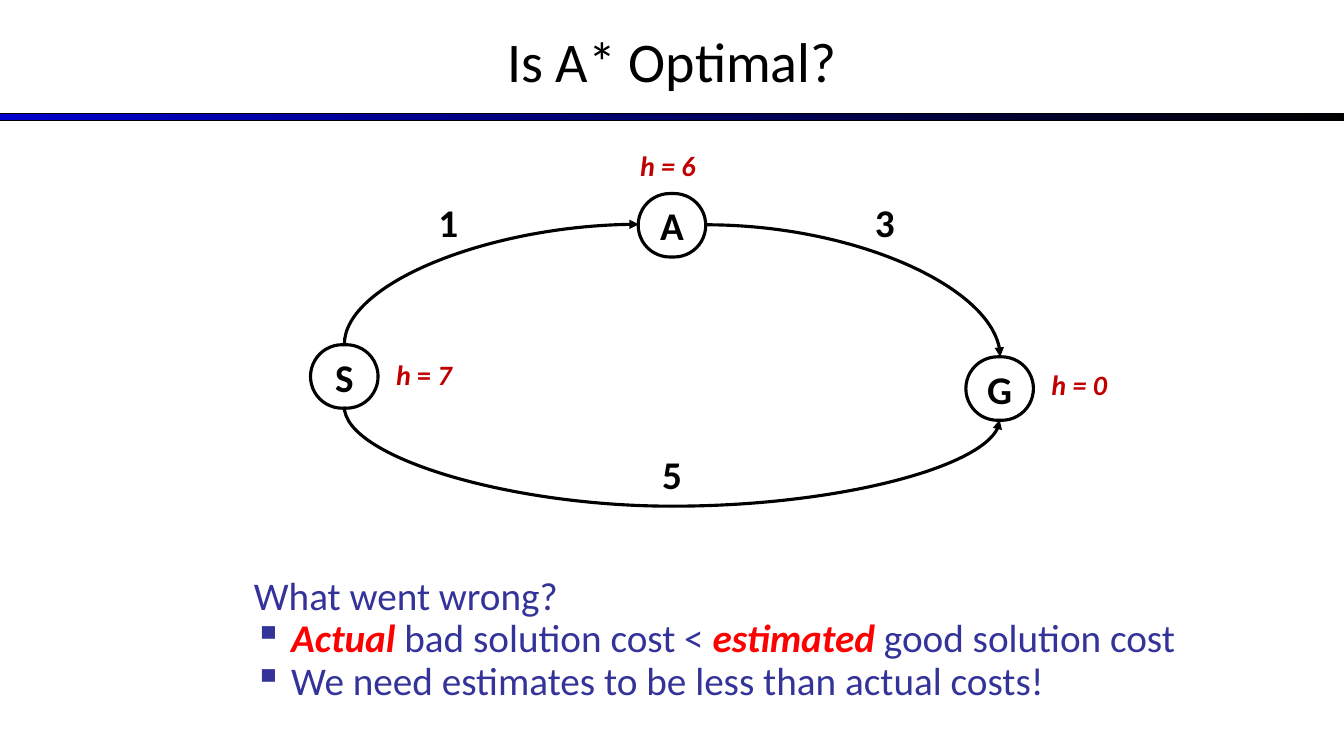
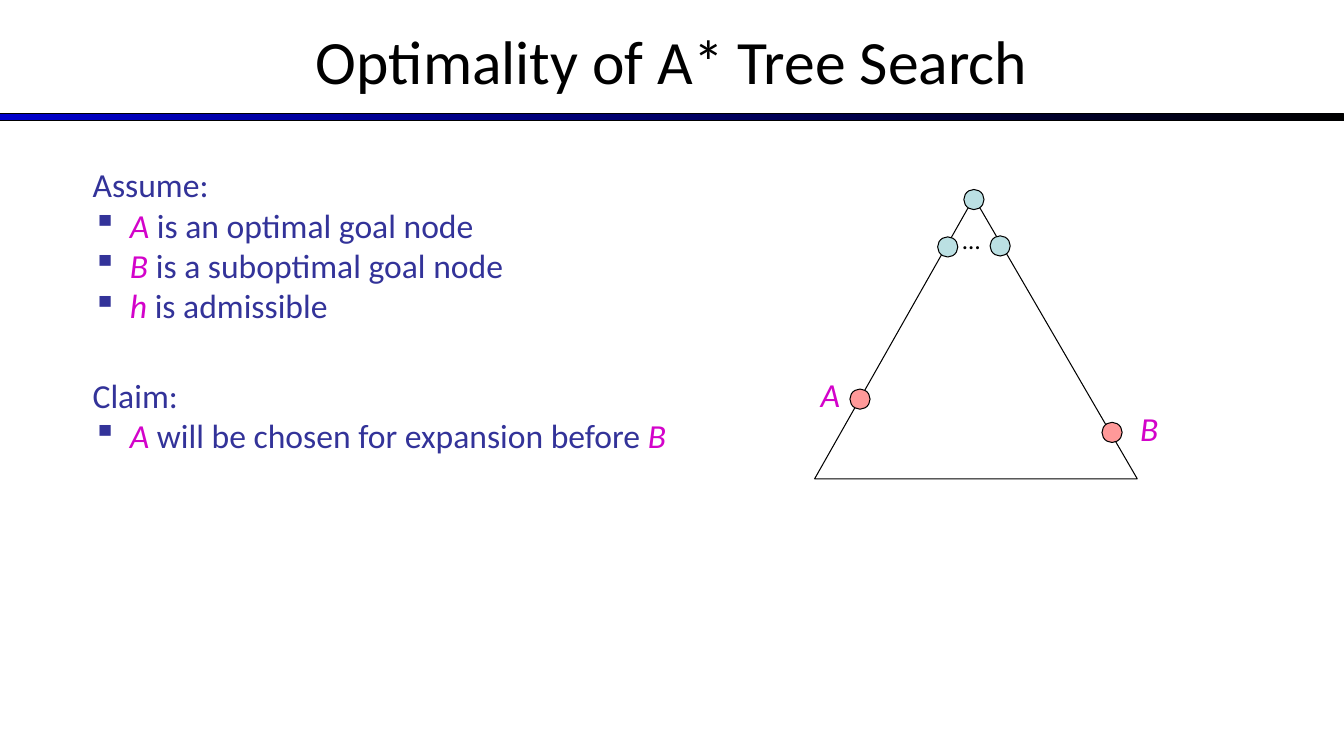
from pptx import Presentation
from pptx.dml.color import RGBColor
from pptx.enum.shapes import MSO_CONNECTOR, MSO_SHAPE
from pptx.enum.text import MSO_ANCHOR, PP_ALIGN
from pptx.oxml.ns import qn
from pptx.util import Inches, Pt
from lxml import etree

BLACK = RGBColor(0x00, 0x00, 0x00)
BAND_BLUE = RGBColor(0x00, 0x00, 0xCC)
BODY_BLUE = RGBColor(0x33, 0x33, 0x99)
RED = RGBColor(0xFF, 0x00, 0x00)
DARK_RED = RGBColor(0xC0, 0x00, 0x00)
MAGENTA = RGBColor(0xD3, 0x03, 0xCA)
PALE_TEAL = RGBColor(0xBB, 0xE0, 0xE3)
PINK = RGBColor(0xFF, 0x99, 0x99)
FONT = "Calibri"
CENTER = PP_ALIGN.CENTER
MIDDLE = MSO_ANCHOR.MIDDLE
CURVE = MSO_CONNECTOR.CURVE
RECTANGLE = MSO_SHAPE.RECTANGLE
ROUNDED = MSO_SHAPE.ROUNDED_RECTANGLE
OVAL = MSO_SHAPE.OVAL
TOP, LEFT, BOTTOM, RIGHT = range(4)
BULLET = "▪ "


def outline(shape, width, fill=None):
    shape.shadow.inherit = False
    shape.line.color.rgb = BLACK
    shape.line.width = Pt(width)
    if fill is None:
        shape.fill.background()
    else:
        shape.fill.solid()
        shape.fill.fore_color.rgb = fill


def add_text(slide, box, lines, size, color, accent=None, bold=False,
             accent_bold=False, align=None, spacing=None):
    frame = slide.shapes.add_textbox(*map(Inches, box)).text_frame
    frame.word_wrap = True
    for index, line in enumerate(lines):
        paragraph = frame.add_paragraph() if index else frame.paragraphs[0]
        if line.startswith(BULLET):
            line = line.removeprefix(BULLET)
            properties = paragraph._p.get_or_add_pPr()
            properties.set("marL", str(Inches(0.37)))
            properties.set("indent", str(Inches(-0.37)))
            bullet_color = etree.SubElement(properties, qn("a:buClr"))
            etree.SubElement(bullet_color, qn("a:srgbClr")).set("val", str(color))
            etree.SubElement(properties, qn("a:buChar")).set("char", BULLET.strip())
        paragraph.alignment = align
        paragraph.line_spacing = spacing
        paragraph.font.name = FONT
        paragraph.font.size = Pt(size)
        paragraph.font.bold = bold
        paragraph.font.color.rgb = color
        for position, part in enumerate(line.split("*")):
            if not part:
                continue
            run = paragraph.add_run()
            run.text = part
            if position % 2:
                run.font.italic = True
                run.font.bold = bold or accent_bold
                run.font.color.rgb = accent or color
    return frame


presentation = Presentation()
presentation.slide_width = Inches(13.33)
presentation.slide_height = Inches(7.5)
layout = presentation.slide_layouts[5]

slides = []
for title_text, title_size in (("Is A* Optimal?", 40), ("Optimality of A* Tree Search", 44)):
    slide = presentation.slides.add_slide(layout)
    title = slide.shapes.title
    title.left, title.top = Inches(0), Inches(-0.03)
    title.width, title.height = Inches(13.33), Inches(1.25)
    title.text_frame.text = title_text
    title.text_frame.vertical_anchor = MIDDLE
    paragraph = title.text_frame.paragraphs[0]
    paragraph.alignment = CENTER
    paragraph.font.name = FONT
    paragraph.font.size = Pt(title_size)
    paragraph.font.color.rgb = BLACK
    slides.append(slide)
graph_slide, tree_slide = slides

band = graph_slide.shapes.add_shape(RECTANGLE, 0, Inches(1.13), Inches(13.33), Inches(0.07))
outline(band, 0.75)
band.fill.gradient()
band.fill.gradient_angle = 0
for stop, position, color in zip(band.fill.gradient_stops, (0, 1), (BAND_BLUE, BLACK)):
    stop.position = position
    stop.color.rgb = color
layout.placeholders[0].element.addprevious(band.element)

add_text(graph_slide, (2.42, 5.67, 10.47, 1.03), [
    "What went wrong?",
    BULLET + "*Actual* bad solution cost < *estimated* good solution cost",
    BULLET + "We need estimates to be less than actual costs!",
], 28, BODY_BLUE, accent=RED, accent_bold=True, spacing=0.9)

nodes = {}
for name, left, top in (("A", 6.33, 1.92), ("G", 9.58, 3.54), ("S", 3.08, 3.42)):
    node = graph_slide.shapes.add_shape(
        ROUNDED, Inches(left), Inches(top), Inches(0.67), Inches(0.63))
    node.adjustments[0] = 0.5
    outline(node, 2.25)
    node.text_frame.word_wrap = False
    node.text_frame.vertical_anchor = MIDDLE
    node.text_frame.text = name
    paragraph = node.text_frame.paragraphs[0]
    paragraph.alignment = CENTER
    paragraph.font.name = FONT
    paragraph.font.size = Pt(28)
    paragraph.font.bold = True
    paragraph.font.color.rgb = BLACK
    nodes[name] = node

for cost, left, top, width in (("1", 4.25, 1.92, 0.5), ("3", 8.58, 1.92, 0.5), ("5", 0, 4.42, 13.33)):
    align = CENTER if cost == "5" else None
    add_text(graph_slide, (left, top, width, 0.57), [cost], 28, BLACK, bold=True, align=align)

for heuristic, left, top in (("*h = 6*", 6.25, 1.42), ("*h = 0*", 10.33, 3.6), ("*h* = *7*", 3.83, 3.5)):
    add_text(graph_slide, (left, top, 1, 0.44), [heuristic], 20, DARK_RED, bold=True)

edges = (
    ("S", BOTTOM, "G", BOTTOM, (6.6, 0.85, 0.13, 6.5), 270, "1", "0", "curvedConnector3"),
    ("S", TOP, "A", LEFT, (4.28, 1.36, 1.19, 2.92), 90, "1", "1", "curvedConnector2"),
    ("A", RIGHT, "G", TOP, (7, 2.23, 2.92, 1.31), 0, "0", "0", "curvedConnector2"),
)
for start, start_site, end, end_site, box, angle, flip_h, flip_v, preset in edges:
    edge = graph_slide.shapes.add_connector(CURVE, 0, 0, 0, 0)
    edge.begin_connect(nodes[start], start_site)
    edge.end_connect(nodes[end], end_site)
    edge.left, edge.top, edge.width, edge.height = map(Inches, box)
    edge.line.color.rgb = BLACK
    edge.line.width = Pt(2.25)
    properties = edge.element.spPr
    transform = properties.find(qn("a:xfrm"))
    transform.set("rot", str(angle * 60000))
    transform.set("flipH", flip_h)
    transform.set("flipV", flip_v)
    geometry = properties.find(qn("a:prstGeom"))
    geometry.set("prst", preset)
    if preset == "curvedConnector3":
        guide = etree.SubElement(geometry.find(qn("a:avLst")), qn("a:gd"))
        guide.set("name", "adj1")
        guide.set("fmla", "val 760000")
    etree.SubElement(properties.find(qn("a:ln")), qn("a:tailEnd")).set("type", "triangle")
    etree.SubElement(properties, qn("a:effectLst"))

claim_frame = add_text(tree_slide, (0.82, 1.58, 6.18, 4.95), [
    "Assume:",
    BULLET + "*A* is an optimal goal node",
    BULLET + "*B* is a suboptimal goal node",
    BULLET + "*h* is admissible",
    "Claim:",
    BULLET + "*A* will be chosen for expansion before *B*",
], 24, BODY_BLUE, accent=MAGENTA)
claim_frame.paragraphs[4].space_before = Pt(35)

builder = tree_slide.shapes.build_freeform(Inches(8.08), Inches(4.75))
builder.add_line_segments(
    [(Inches(11.28), Inches(4.75)), (Inches(9.66), Inches(1.96))], close=True)
outline(builder.convert_to_shape(), 0.75)

for left, top, fill in (
    (9.3, 2.35, PALE_TEAL),
    (9.82, 2.34, PALE_TEAL),
    (10.93, 4.19, PINK),
    (8.43, 3.86, PINK),
    (9.56, 1.88, PALE_TEAL),
):
    dot = tree_slide.shapes.add_shape(OVAL, Inches(left), Inches(top), Inches(0.2), Inches(0.2))
    outline(dot, 0.75, fill)

add_text(tree_slide, (9.45, 2.18, 0.3, 0.4), ["…"], 18, BLACK)
for goal, left, top in (("*A*", 8.04, 3.66), ("*B*", 11.21, 4)):
    add_text(tree_slide, (left, top, 0.48, 0.5), [goal], 24, MAGENTA)

presentation.save("out.pptx")
